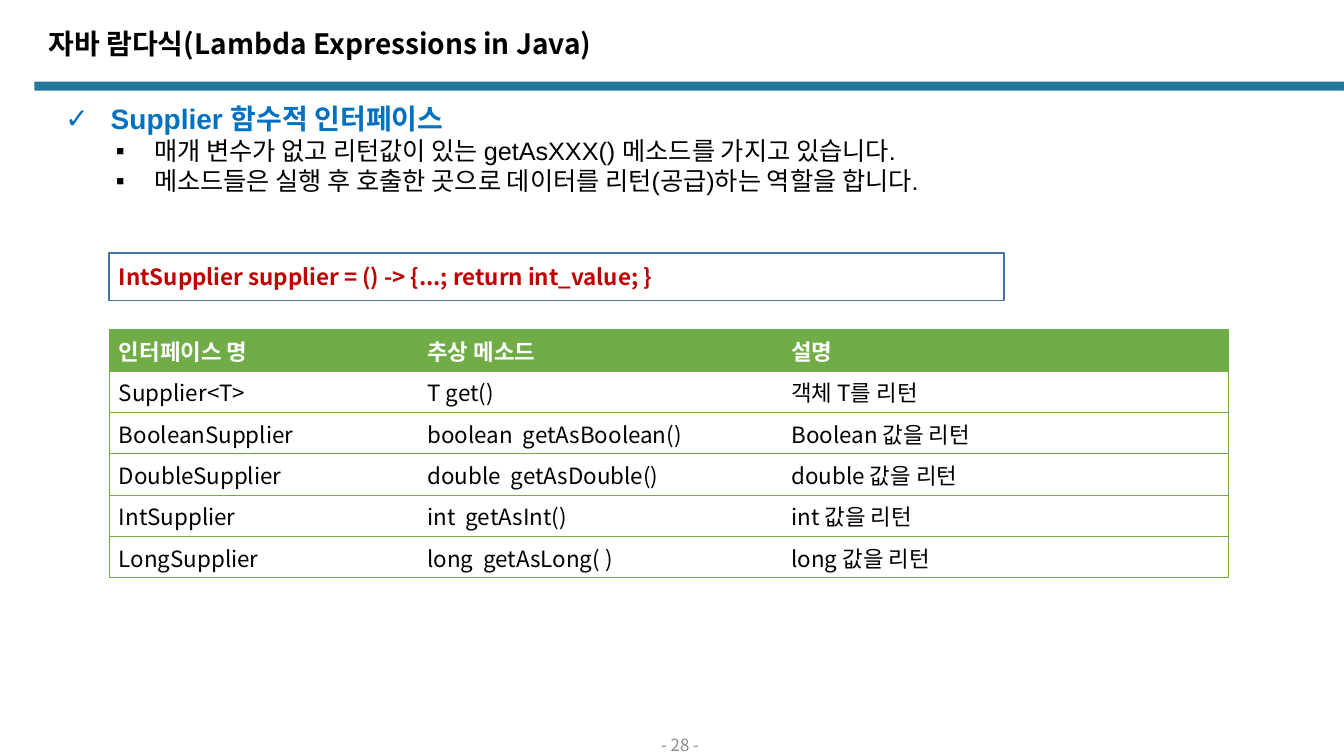
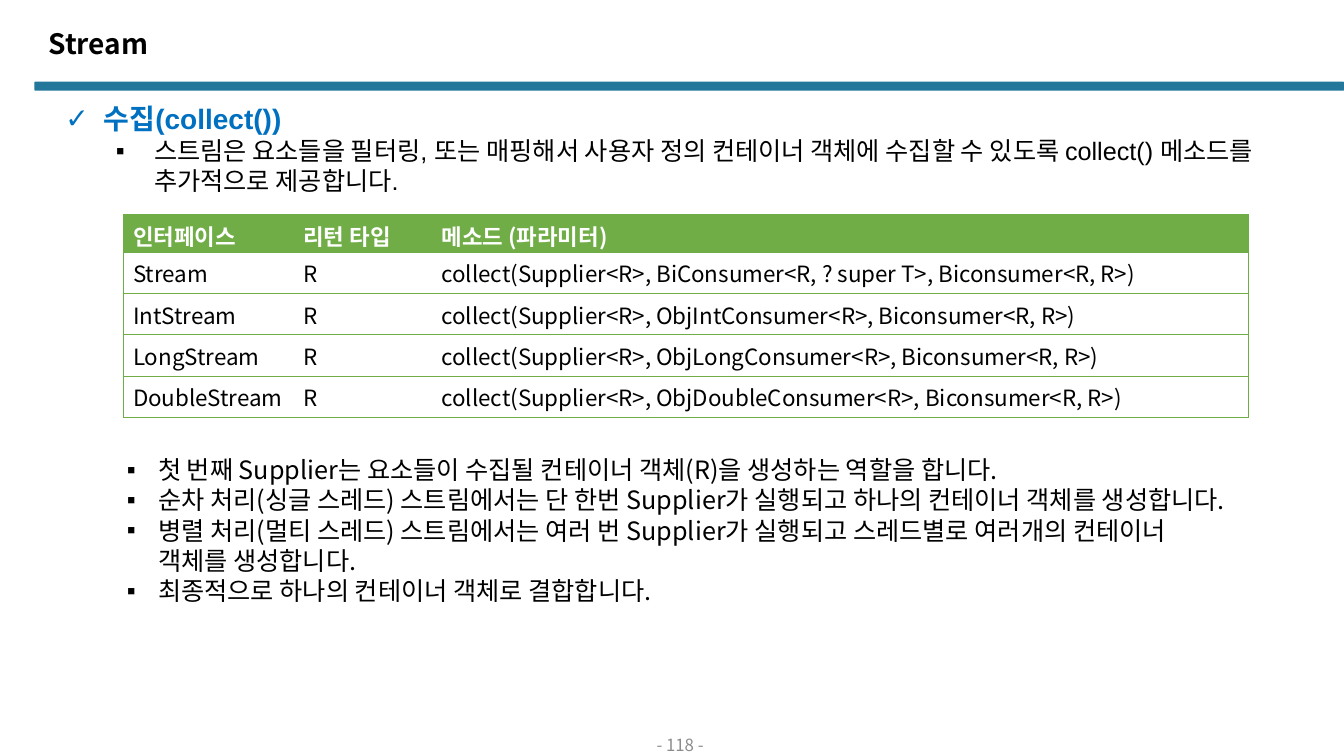
from dataclasses import dataclass

import pptx
import pptx.dml.color
import pptx.enum.shapes
import pptx.enum.text
import pptx.oxml
import pptx.oxml.ns
import pptx.util
from pptx.util import Inches

# Shared style
KOREAN_FONT = "Noto Sans CJK KR"
BODY_FONT = "Arial"
BLACK, WHITE = "000000", "FFFFFF"
BAND_BLUE, HEADING_BLUE, BOX_BLUE = "22779B", "0070C0", "43739E"
TABLE_GREEN, CODE_RED, FOOTER_GRAY = "70AD47", "C00000", "8C8C8C"
ROW_HEIGHT = 0.41


@dataclass(frozen=True)
class Box:
    left: float
    top: float
    width: float
    height: float

    def lengths(self) -> tuple:
        return tuple(Inches(v) for v in (self.left, self.top, self.width, self.height))


@dataclass(frozen=True)
class TextStyle:
    size: int
    color: str = BLACK
    font: str = KOREAN_FONT
    bold: bool = False


@dataclass(frozen=True)
class Bullet:
    """One bulleted paragraph; hanging is the gap from bullet to text."""
    text: str
    style: TextStyle
    symbol: str = "▪"
    margin: float = 0.88
    hanging: float = 0.38
    level: int = 0


@dataclass(frozen=True)
class TableData:
    left: float
    top: float
    columns: tuple
    header_height: float
    rows: tuple


TITLE_STYLE = TextStyle(20, bold=True)
FOOTER_STYLE = TextStyle(12, FOOTER_GRAY)
HEADING_STYLE = TextStyle(20, HEADING_BLUE, BODY_FONT, True)
POINT_STYLE = TextStyle(18, font=BODY_FONT)
NOTE_STYLE = TextStyle(18)
HEADER_STYLE = TextStyle(16, WHITE, bold=True)
CELL_STYLE = TextStyle(16)
CODE_STYLE = TextStyle(16, CODE_RED, bold=True)

TITLE_BOX = Box(0.38, 0.25, 12, 0.47)
BAND_BOX = Box(0.34, 0.81, 12.99, 0.09)
FOOTER_BOX = Box(5.19, 7.27, 3.11, 0.23)
BODY_BOX = Box(0.55, 0.96, 12.44, 1.04)


def rgb(color: str) -> pptx.dml.color.RGBColor:
    return pptx.dml.color.RGBColor.from_string(color)


def add_element(parent, tag: str, **attributes: str):
    element = pptx.oxml.parse_xml(f"<a:{tag} {pptx.oxml.ns.nsdecls('a')}/>")
    for name, value in attributes.items():
        element.set(name, value)
    parent.append(element)
    return element


def format_paragraph(paragraph, style: TextStyle) -> None:
    for run in paragraph.runs:
        run.font.size = pptx.util.Pt(style.size)
        run.font.bold = style.bold
        run.font.color.rgb = rgb(style.color)
        run.font.name = style.font
        add_element(run.font._element, "ea", typeface=KOREAN_FONT)


def add_text_box(slide, box: Box):
    text_frame = slide.shapes.add_textbox(*box.lengths()).text_frame
    text_frame.word_wrap = True
    return text_frame


def add_bullets(slide, box: Box, bullets: list[Bullet]) -> None:
    text_frame = add_text_box(slide, box)
    for index, bullet in enumerate(bullets):
        paragraph = text_frame.add_paragraph() if index else text_frame.paragraphs[0]
        paragraph.text = bullet.text
        paragraph.level = bullet.level
        properties = paragraph._p.get_or_add_pPr()
        properties.set("marL", str(Inches(bullet.margin)))
        properties.set("indent", str(-Inches(bullet.hanging)))
        add_element(properties, "buFont", typeface=BODY_FONT)
        add_element(properties, "buChar", char=bullet.symbol)
        format_paragraph(paragraph, bullet.style)


def add_body(slide, heading: str, hanging: float, points: list[str]) -> None:
    first = Bullet(heading, HEADING_STYLE, "✓", hanging, hanging)
    add_bullets(slide, BODY_BOX,
                [first] + [Bullet(point, POINT_STYLE, level=1) for point in points])


def set_borders(cell, outer_left: bool, outer_right: bool) -> None:
    """Green rules above and below every cell, and at the table's sides."""
    properties = cell._tc.get_or_add_tcPr()
    sides = {"lnL": outer_left, "lnR": outer_right, "lnT": True, "lnB": True}
    for tag, visible in sides.items():
        line = add_element(properties, tag, w=str(pptx.util.Pt(0.5)))
        if visible:
            add_element(add_element(line, "solidFill"), "srgbClr", val=TABLE_GREEN)
        else:
            add_element(line, "noFill")


def add_table(slide, data: TableData) -> None:
    heights = [data.header_height] + [ROW_HEIGHT] * (len(data.rows) - 1)
    box = Box(data.left, data.top, sum(data.columns), sum(heights))
    table = slide.shapes.add_table(len(heights), len(data.columns), *box.lengths()).table
    for column, width in zip(table.columns, data.columns):
        column.width = Inches(width)
    last_column = len(data.columns) - 1
    for row_index, (height, texts) in enumerate(zip(heights, data.rows)):
        table.rows[row_index].height = Inches(height)
        is_header = row_index == 0
        for column_index, text in enumerate(texts):
            cell = table.cell(row_index, column_index)
            cell.text_frame.text = text
            format_paragraph(cell.text_frame.paragraphs[0],
                             HEADER_STYLE if is_header else CELL_STYLE)
            set_borders(cell, column_index == 0, column_index == last_column)
            cell.fill.solid()
            cell.fill.fore_color.rgb = rgb(TABLE_GREEN if is_header else WHITE)


def add_filled_shape(slide, kind, box: Box, fill: str):
    shape = slide.shapes.add_shape(kind, *box.lengths())
    shape.shadow.inherit = False
    shape.fill.solid()
    shape.fill.fore_color.rgb = rgb(fill)
    return shape


def add_code_box(slide, box: Box, code: str) -> None:
    shape = add_filled_shape(slide, pptx.enum.shapes.MSO_SHAPE.RECTANGLE, box, WHITE)
    shape.line.color.rgb = rgb(BOX_BLUE)
    shape.line.width = pptx.util.Pt(1)
    shape.text_frame.text = code
    shape.text_frame.vertical_anchor = pptx.enum.text.MSO_ANCHOR.MIDDLE
    paragraph = shape.text_frame.paragraphs[0]
    paragraph.alignment = pptx.enum.text.PP_ALIGN.LEFT
    format_paragraph(paragraph, CODE_STYLE)


def add_base_slide(presentation, title: str, page: int):
    """Title, band and page number that every slide has."""
    slide = presentation.slides.add_slide(presentation.slide_layouts[5])

    band = add_filled_shape(slide, pptx.enum.shapes.MSO_SHAPE.ROUNDED_RECTANGLE,
                            BAND_BOX, BAND_BLUE)
    band.adjustments[0] = 0.13
    band.line.fill.background()

    title_shape = slide.shapes.title
    (title_shape.left, title_shape.top,
     title_shape.width, title_shape.height) = TITLE_BOX.lengths()
    text_frame = title_shape.text_frame
    text_frame.text = title
    text_frame.auto_size = pptx.enum.text.MSO_AUTO_SIZE.NONE
    text_frame.vertical_anchor = pptx.enum.text.MSO_ANCHOR.TOP
    paragraph = text_frame.paragraphs[0]
    paragraph.alignment = pptx.enum.text.PP_ALIGN.LEFT
    paragraph.line_spacing = 0.9
    format_paragraph(paragraph, TITLE_STYLE)

    footer = add_text_box(slide, FOOTER_BOX)
    footer.text = f"- {page} -"
    footer.vertical_anchor = pptx.enum.text.MSO_ANCHOR.MIDDLE
    footer.paragraphs[0].alignment = pptx.enum.text.PP_ALIGN.CENTER
    format_paragraph(footer.paragraphs[0], FOOTER_STYLE)
    return slide


def build_supplier_slide(presentation) -> None:
    slide = add_base_slide(presentation, "자바 람다식(Lambda Expressions in Java)", 28)
    add_body(slide, "Supplier 함수적 인터페이스", 0.45, [
        "매개 변수가 없고 리턴값이 있는 getAsXXX() 메소드를 가지고 있습니다.",
        "메소드들은 실행 후 호출한 곳으로 데이터를 리턴(공급)하는 역할을 합니다.",
    ])
    add_table(slide, TableData(1.08, 3.27, (3.06, 3.61, 4.43), ROW_HEIGHT, (
        ("인터페이스 명", "추상 메소드", "설명"),
        ("Supplier<T>", "T get()", "객체 T를 리턴"),
        ("BooleanSupplier", "boolean  getAsBoolean()", "Boolean 값을 리턴"),
        ("DoubleSupplier", "double  getAsDouble()", "double 값을 리턴"),
        ("IntSupplier", "int  getAsInt()", "int 값을 리턴"),
        ("LongSupplier", "long  getAsLong( )", "long 값을 리턴"),
    )))
    add_code_box(slide, Box(1.08, 2.51, 8.88, 0.47),
                 "IntSupplier supplier = () -> {...; return int_value; }")


def build_collect_slide(presentation) -> None:
    slide = add_base_slide(presentation, "Stream", 118)
    add_body(slide, "수집(collect())", 0.38, [
        "스트림은 요소들을 필터링, 또는 매핑해서 사용자 정의 컨테이너 객체에 "
        "수집할 수 있도록 collect() 메소드를 추가적으로 제공합니다.",
    ])
    collectors = (
        ("Stream", "BiConsumer<R, ? super T>"),
        ("IntStream", "ObjIntConsumer<R>"),
        ("LongStream", "ObjLongConsumer<R>"),
        ("DoubleStream", "ObjDoubleConsumer<R>"),
    )
    rows = [("인터페이스", "리턴 타입", "메소드 (파라미터)")]
    rows += [(stream, "R", f"collect(Supplier<R>, {consumer}, Biconsumer<R, R>)")
             for stream, consumer in collectors]
    add_table(slide, TableData(1.22, 2.13, (1.69, 1.37, 8.1), 0.37, tuple(rows)))
    notes = (
        "첫 번째 Supplier는 요소들이 수집될 컨테이너 객체(R)을 생성하는 역할을 합니다.",
        "순차 처리(싱글 스레드) 스트림에서는 단 한번 Supplier가 실행되고 "
        "하나의 컨테이너 객체를 생성합니다.",
        "병렬 처리(멀티 스레드) 스트림에서는 여러 번 Supplier가 실행되고 "
        "스레드별로 여러개의 컨테이너 객체를 생성합니다.",
        "최종적으로 하나의 컨테이너 객체로 결합합니다.",
    )
    add_bullets(slide, Box(1.16, 4.46, 11.21, 1.92),
                [Bullet(note, NOTE_STYLE, margin=0.31, hanging=0.31) for note in notes])


def main() -> None:
    presentation = pptx.Presentation()
    presentation.slide_width = Inches(13.33)
    presentation.slide_height = Inches(7.5)
    build_supplier_slide(presentation)
    build_collect_slide(presentation)
    presentation.save("out.pptx")


if __name__ == "__main__":
    main()
